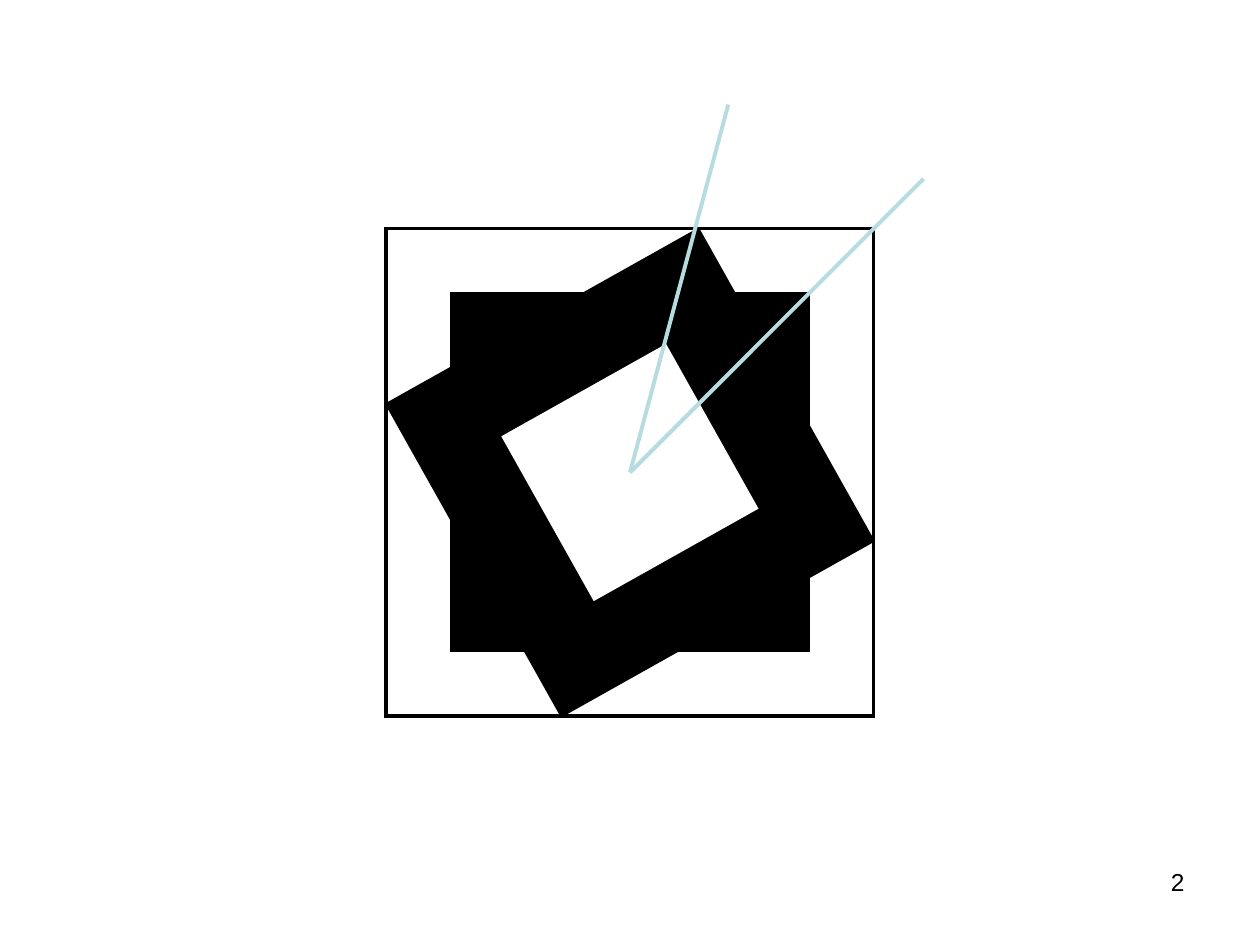
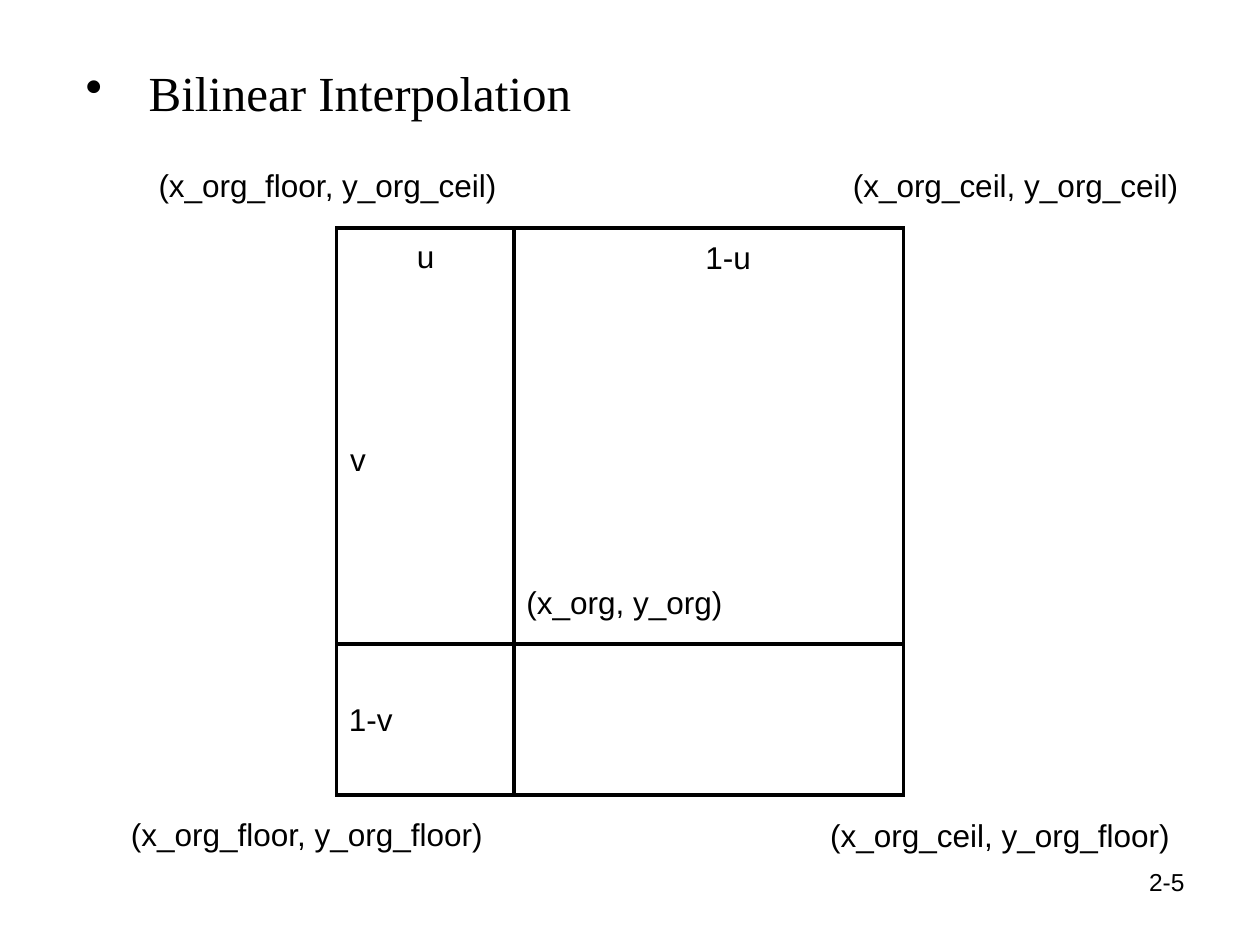
from lxml.etree import SubElement
from pptx import Presentation
from pptx.dml.color import RGBColor
from pptx.enum.shapes import MSO_CONNECTOR, MSO_SHAPE
from pptx.enum.text import MSO_ANCHOR, MSO_AUTO_SIZE, PP_ALIGN
from pptx.oxml.ns import qn
from pptx.util import Inches, Pt

BLACK, WHITE, RAY = "000000", "FFFFFF", "B6DCDF"
SANS, SERIF = "Arial", "Times New Roman"
PAGES = ["2", "2-5"]

MID = (5, 3.75)
OUTER, INNER, BOUND = 2.83, 1.5, 3.87
TURNS = [0, 330.7]
TIPS = [(7.33, 1.42), (5.78, 0.83)]

HEAD = "Bilinear Interpolation"
LEFT, TOP, SIDE = 2.67, 1.81, 4.5
CUT_X, CUT_Y = 4.08, 5.11
LABELS = [
    ("(x_org, y_org)", CUT_X, 4.58, 1.85, True),
    ("(x_org_floor, y_org_ceil)", 1.16, 1.27, 3.01, True),
    ("(x_org_ceil, y_org_ceil)", 6.67, 1.27, 3.01, True),
    ("(x_org_ceil, y_org_floor)", 6.49, 6.43, 3.01, True),
    ("(x_org_floor, y_org_floor)", 0.94, 6.42, 3.01, True),
    ("u", 3.21, 1.83, 0.34, False),
    ("v", 2.68, 3.44, 0.32, False),
    ("1-v", 2.67, 5.51, 0.56, False),
    ("1-u", 5.5, 1.84, 0.56, False),
]


def color(code):
    """Turn a hex string into a colour."""
    return RGBColor.from_string(code)


def write(para, words, size, font=SANS):
    """Add one black run to a paragraph."""
    run = para.add_run()
    run.text = words
    run.font.size, run.font.name = Pt(size), font
    run.font.color.rgb = color(BLACK)


def label(slide, words, x, y, wide, wrap=True, high=0.4, size=18, grow=True):
    """Add a text box and return its paragraph."""
    box = slide.shapes.add_textbox(*map(Inches, (x, y, wide, high)))
    frame = box.text_frame
    frame.word_wrap = wrap
    frame.auto_size = MSO_AUTO_SIZE.SHAPE_TO_FIT_TEXT if grow else MSO_AUTO_SIZE.NONE
    write(frame.paragraphs[0], words, size)
    return frame.paragraphs[0]


def square(shapes, x, y, side, fill=None, edge=True):
    """Add a square with an optional fill and sharp black edge."""
    box = shapes.add_shape(MSO_SHAPE.RECTANGLE, *map(Inches, (x, y, side, side)))
    box.shadow.inherit = False
    if fill:
        box.fill.solid()
        box.fill.fore_color.rgb = color(fill)
    else:
        box.fill.background()
    if edge:
        box.line.color.rgb = color(BLACK)
        box.line.width = Pt(2)
        SubElement(box.line._get_or_add_ln(), qn("a:miter"), lim="800000")
    else:
        box.line.fill.background()


def center(shapes, side, fill=None, edge=True):
    """Add a square around the middle of the slide."""
    square(shapes, MID[0] - side / 2, MID[1] - side / 2, side, fill, edge)


def line(slide, start, end, tint):
    """Draw a straight line without a shadow."""
    link = slide.shapes.add_connector(MSO_CONNECTOR.STRAIGHT, *map(Inches, start + end))
    link.line.color.rgb = color(tint)
    link.line.width = Pt(2.25)
    SubElement(link._element.spPr, qn("a:effectLst"))


def heading(slide, words):
    """Set the title as a bulleted line."""
    title = slide.shapes.title
    title.left, title.top, title.width, title.height = map(Inches, (0.58, 0.5, 4.24, 0.55))
    frame = title.text_frame
    frame.vertical_anchor = MSO_ANCHOR.TOP
    frame.auto_size = MSO_AUTO_SIZE.NONE
    para = frame.paragraphs[0]
    para.alignment = PP_ALIGN.LEFT
    para.line_spacing, para.space_before = 0.9, Pt(7)
    props = para._p.get_or_add_pPr()
    props.set("marL", str(Inches(0.5)))
    props.set("indent", str(Inches(-0.5)))
    SubElement(SubElement(props, qn("a:buClr")), qn("a:srgbClr"), val=BLACK)
    SubElement(props, qn("a:buChar"), char="•")
    write(para, words, 28, SERIF)


def start(deck, kind, page):
    """Add a slide with its page number."""
    slide = deck.slides.add_slide(deck.slide_layouts[kind])
    para = label(slide, page, 7.17, 6.83, 2.33, high=0.52, size=14, grow=False)
    para.alignment = PP_ALIGN.RIGHT
    return slide


def rotate(deck):
    """Build the slide of turned squares."""
    slide = start(deck, 6, PAGES[0])
    for turn in TURNS:
        group = slide.shapes.add_group_shape()
        center(group.shapes, OUTER, BLACK)
        center(group.shapes, INNER, WHITE, edge=False)
        group.rotation = turn
    center(slide.shapes, BOUND)
    for tip in TIPS:
        line(slide, MID, tip, RAY)


def blend(deck):
    """Build the slide of the divided pixel square."""
    slide = start(deck, 5, PAGES[1])
    heading(slide, HEAD)
    square(slide.shapes, LEFT, TOP, SIDE)
    line(slide, (LEFT, CUT_Y), (LEFT + SIDE, CUT_Y), BLACK)
    line(slide, (CUT_X, TOP), (CUT_X, TOP + SIDE), BLACK)
    for item in LABELS:
        label(slide, *item)


def main():
    """Build and save the deck."""
    deck = Presentation()
    deck.slide_width, deck.slide_height = Inches(10), Inches(7.5)
    rotate(deck)
    blend(deck)
    deck.save("out.pptx")


if __name__ == "__main__":
    main()
